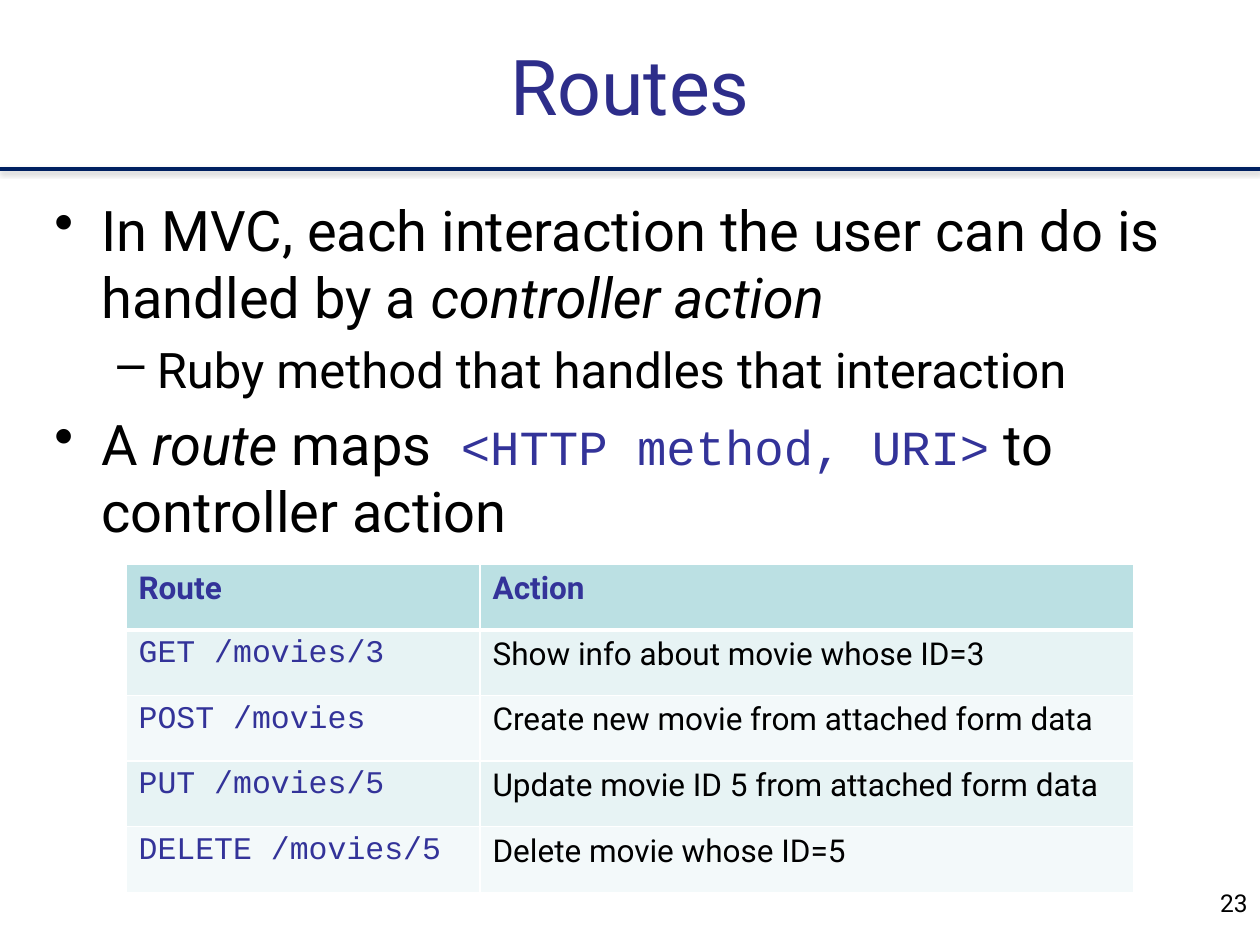
"""Build the Routes slide: bullets on controller actions above a table of routes."""
from dataclasses import dataclass

from pptx import Presentation
from pptx import util as u
from pptx.dml.color import RGBColor
from pptx.enum import shapes, text
from pptx.oxml import parse_xml
from pptx.oxml.ns import nsdecls


@dataclass(frozen=True)
class Theme:
    sans: str = "Roboto"
    mono: str = "Courier New"
    heading: str = "2D2D8A"
    accent: str = "333399"
    ink: str = "000000"
    rule: str = "002061"
    shadow: str = "808080"
    border: str = "FFFFFF"
    header_fill: str = "BBE0E3"
    band_fills: tuple = ("E7F3F4", "F3F9FA")
    title_size: float = 44
    bullet_sizes: tuple = (32, 28)
    table_size: float = 18
    number_size: float = 14


THEME = Theme()
PLAIN = {}
ITALIC = {"italic": True}
CODE = {"name": THEME.mono, "color": THEME.accent}
HEADER = {"bold": True, "color": THEME.accent}

TITLE = "Routes"
PAGE_NUMBER = "23"
BULLETS = [
    (0, [("In MVC, each interaction the user can do is handled by a ", PLAIN),
         ("controller action", ITALIC)]),
    (1, [("Ruby method that handles that interaction", PLAIN)]),
    (0, [("A ", PLAIN), ("route ", ITALIC), ("maps", PLAIN),
         (" <HTTP method, URI>", {**CODE, "size": 28}),
         (" to controller action", PLAIN)]),
]
ROUTES = [
    ("Route", "Action"),
    ("GET /movies/3", "Show info about movie whose ID=3"),
    ("POST /movies", "Create new movie from attached form data"),
    ("PUT /movies/5", "Update movie ID 5 from attached form data"),
    ("DELETE /movies/5", "Delete movie whose ID=5"),
]

WIDTH, HEIGHT = 720, 540
RULE_TOP = 96.5
TITLE_BOX = (0, 0, WIDTH, RULE_TOP)
BODY_BOX = (24, 108, 672, 374)
NUMBER_BOX = (552, 504, 168, 36)
TABLE_LEFT, TABLE_TOP = 72, 322.5
COLUMN_WIDTHS = (202.3, 373.7)
ROW_HEIGHT = 37.5
BULLET_STYLES = (("•", 27, -27), ("–", 58.5, -22.5))


def points(values):
    return [u.Pt(value) for value in values]


def add_span(para, words, size, style):
    span = para.add_run()
    span.text = words
    look = {"name": THEME.sans, "size": size, "bold": False,
            "italic": False, "color": THEME.ink, **style}
    span.font.color.rgb = RGBColor.from_string(look.pop("color"))
    look["size"] = u.Pt(look["size"])
    for key, value in look.items():
        setattr(span.font, key, value)


def add_box(page, area):
    box = page.shapes.add_textbox(*points(area))
    box.text_frame.word_wrap = True
    return box.text_frame


def add_title(page):
    title = page.shapes.title
    for key, value in zip(("left", "top", "width", "height"), points(TITLE_BOX)):
        setattr(title, key, value)
    title.text_frame.vertical_anchor = text.MSO_ANCHOR.MIDDLE
    para = title.text_frame.paragraphs[0]
    para.alignment = text.PP_ALIGN.CENTER
    add_span(para, TITLE, THEME.title_size, {"color": THEME.heading})


def add_rule(page):
    rule = page.shapes.add_connector(
        shapes.MSO_CONNECTOR.STRAIGHT, *points((0, RULE_TOP, WIDTH, RULE_TOP)))
    rule.line.color.rgb = RGBColor.from_string(THEME.rule)
    rule.line.width = u.Pt(2)
    rule._element.spPr.append(parse_xml(
        f'<a:effectLst {nsdecls("a")}><a:outerShdw blurRad="{u.Pt(3.1)}" '
        f'dist="{u.Pt(1.6)}" dir="5400000" rotWithShape="0">'
        f'<a:srgbClr val="{THEME.shadow}"><a:alpha val="38000"/></a:srgbClr>'
        '</a:outerShdw></a:effectLst>'))


def add_bullets(page):
    frame = add_box(page, BODY_BOX)
    for index, (level, spans) in enumerate(BULLETS):
        para = frame.add_paragraph() if index else frame.paragraphs[0]
        size = THEME.bullet_sizes[level]
        mark, margin, indent = BULLET_STYLES[level]
        para.level = level
        para.space_before = u.Pt(size * 0.2)
        props = para._p.get_or_add_pPr()
        props.set("marL", str(u.Pt(margin)))
        props.set("indent", str(u.Pt(indent)))
        props.append(parse_xml(f'<a:buChar {nsdecls("a")} char="{mark}"/>'))
        for words, style in spans:
            add_span(para, words, size, style)


def set_borders(cell, widths):
    props = cell._tc.get_or_add_tcPr()
    for index, (side, width) in enumerate(zip("LRTB", widths)):
        props.insert(index, parse_xml(
            f'<a:ln{side} {nsdecls("a")} w="{u.Pt(width)}"><a:solidFill>'
            f'<a:srgbClr val="{THEME.border}"/></a:solidFill></a:ln{side}>'))


def add_routes(page):
    table = page.shapes.add_table(
        len(ROUTES), len(COLUMN_WIDTHS),
        *points((TABLE_LEFT, TABLE_TOP, sum(COLUMN_WIDTHS),
                 ROW_HEIGHT * len(ROUTES)))).table
    for column, width in zip(table.columns, COLUMN_WIDTHS):
        column.width = u.Pt(width)
    for r, route in enumerate(ROUTES):
        fill = THEME.band_fills[(r - 1) % 2] if r else THEME.header_fill
        styles = (CODE, PLAIN) if r else (HEADER, HEADER)
        widths = (1, 1, 3 if r == 1 else 1, 3 if r == 0 else 1)
        for c, (words, style) in enumerate(zip(route, styles)):
            cell = table.cell(r, c)
            cell.fill.solid()
            cell.fill.fore_color.rgb = RGBColor.from_string(fill)
            set_borders(cell, widths)
            add_span(cell.text_frame.paragraphs[0], words, THEME.table_size, style)


def add_page_number(page):
    para = add_box(page, NUMBER_BOX).paragraphs[0]
    para.alignment = text.PP_ALIGN.RIGHT
    add_span(para, PAGE_NUMBER, THEME.number_size, PLAIN)


def main():
    deck = Presentation()
    deck.slide_width, deck.slide_height = points((WIDTH, HEIGHT))
    page = deck.slides.add_slide(deck.slide_layouts.get_by_name("Title Only"))
    for add_part in (add_rule, add_title, add_bullets, add_page_number, add_routes):
        add_part(page)
    deck.save("out.pptx")


if __name__ == "__main__":
    main()
